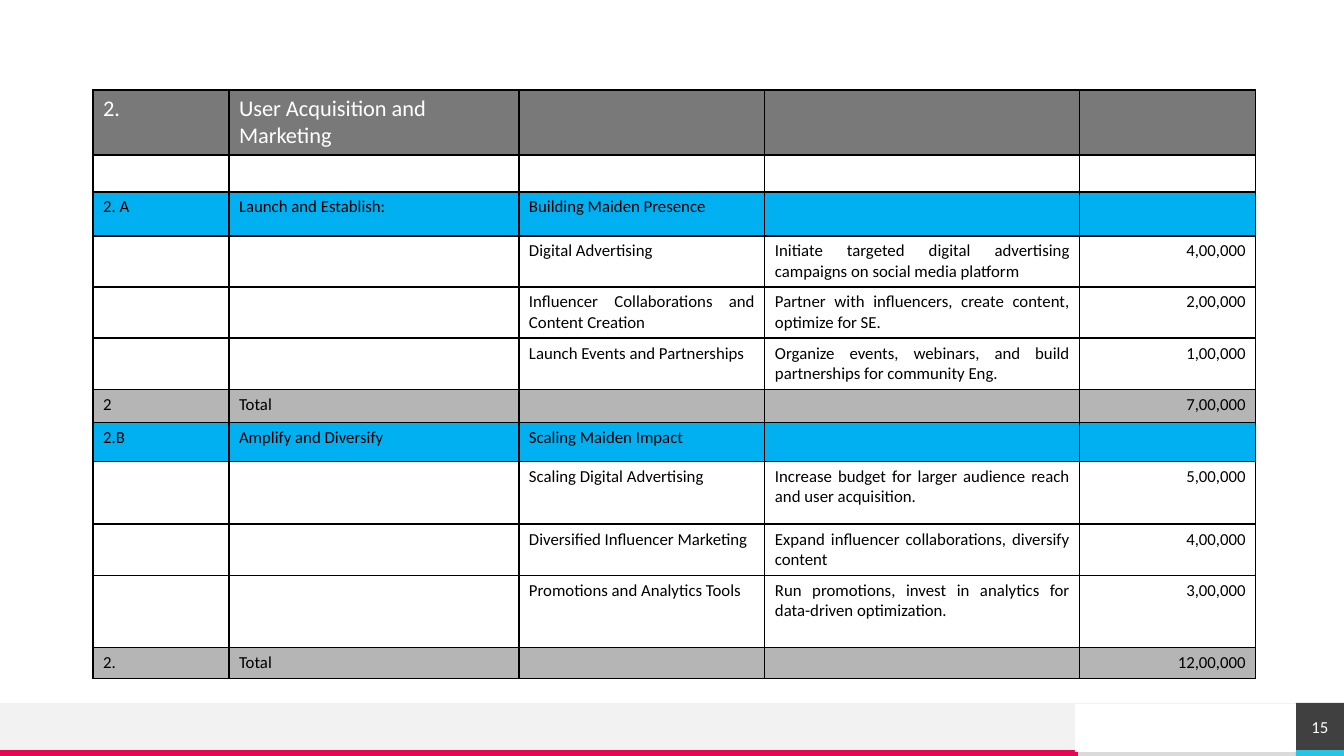
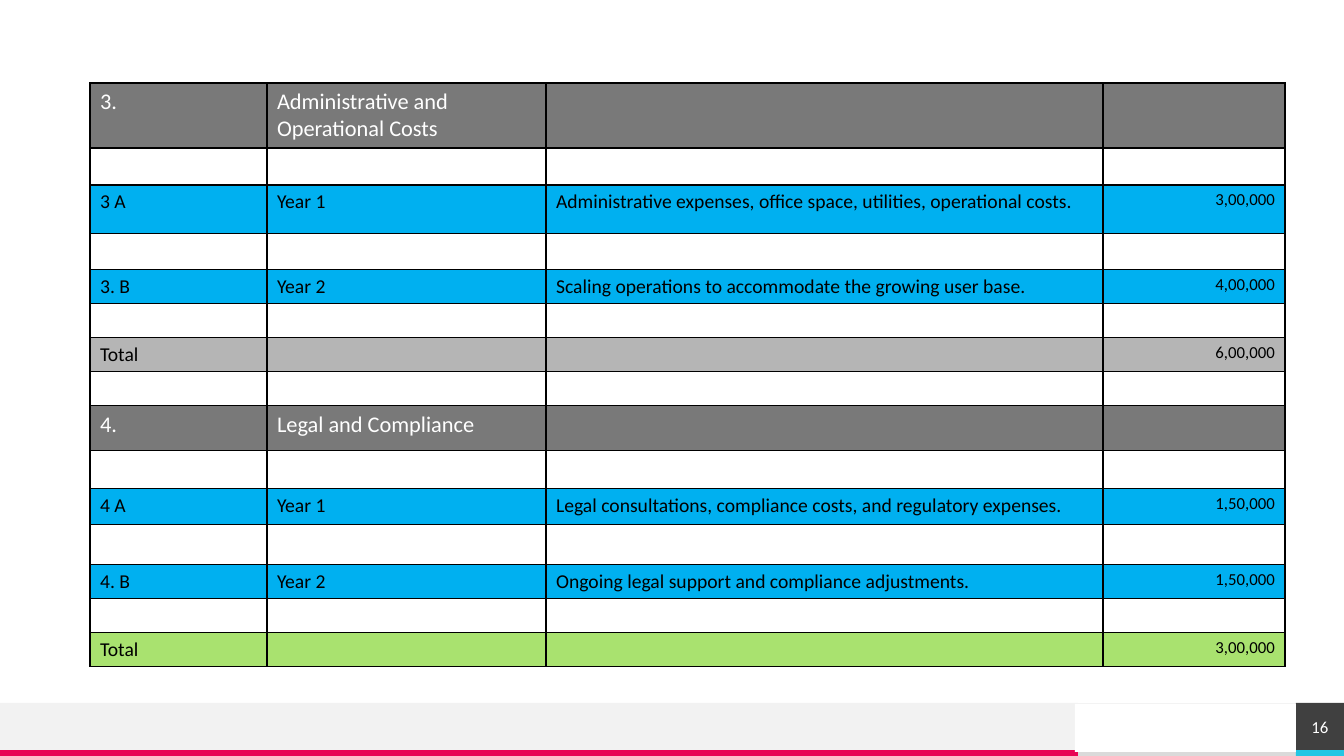
"""Build two budget table slides with a shared footer."""
from dataclasses import dataclass
from itertools import zip_longest

from lxml.etree import SubElement
from pptx import Presentation
from pptx.dml.color import RGBColor
from pptx.enum.shapes import MSO_CONNECTOR as Connector, MSO_SHAPE as Shape
from pptx.enum.text import MSO_ANCHOR as Anchor, PP_ALIGN as Align
from pptx.oxml.ns import qn
from pptx.util import Emu, Pt

PAGE_WIDTH, PAGE_HEIGHT = 1344, 756
SCALE = 12192000 / PAGE_WIDTH


@dataclass(frozen=True)
class Theme:
    font: str = "Calibri"
    white: str = "FFFFFF"
    black: str = "000000"
    band: str = "F2F2F2"
    strip: str = "DADADA"
    pink: str = "E80554"
    cyan: str = "25C6E3"
    dark: str = "404040"
    header: str = "797979"
    phase: str = "00B0F0"
    total: str = "B5B5B5"
    final: str = "A9E26F"
    header_size: int = 16
    large_size: int = 14
    small_size: int = 12


THEME = Theme()
ROW_FILLS = {
    "header": THEME.header,
    "phase": THEME.phase,
    "detail": THEME.white,
    "blank": THEME.white,
    "total": THEME.total,
    "final": THEME.final,
}

MARKETING_COLUMNS = (136, 290, 246, 315, 176)
MARKETING_ROWS = (
    ("header", 65, "2.", "User Acquisition and Marketing"),
    ("blank", 37),
    ("phase", 44, "2. A", "Launch and Establish:", "Building Maiden Presence"),
    ("detail", 51, "", "", "Digital Advertising",
     "Initiate targeted digital advertising campaigns on social media platform", "4,00,000"),
    ("detail", 51, "", "", "Influencer Collaborations and Content Creation",
     "Partner with influencers, create content, optimize for SE.", "2,00,000"),
    ("detail", 51, "", "", "Launch Events and Partnerships",
     "Organize events, webinars, and build partnerships for community Eng.", "1,00,000"),
    ("total", 33, "2", "Total", "", "", "7,00,000"),
    ("phase", 39, "2.B", "Amplify and Diversify", "Scaling Maiden Impact"),
    ("detail", 63, "", "", "Scaling Digital Advertising",
     "Increase budget for larger audience reach and user acquisition.", "5,00,000"),
    ("detail", 51, "", "", "Diversified Influencer Marketing",
     "Expand influencer collaborations, diversify content", "4,00,000"),
    ("detail", 72, "", "", "Promotions and Analytics Tools",
     "Run promotions, invest in analytics for data-driven optimization.", "3,00,000"),
    ("total", 31, "2.", "Total", "", "", "12,00,000"),
)

COSTS_COLUMNS = (177, 279, 557, 182)
COSTS_ROWS = (
    ("header", 65, "3.", "Administrative and Operational Costs"),
    ("blank", 37),
    ("phase", 49, "3 A", "Year 1",
     "Administrative expenses, office space, utilities, operational costs.", "3,00,000"),
    ("blank", 36),
    ("phase", 34, "3. B", "Year 2",
     "Scaling operations to accommodate the growing user base.", "4,00,000"),
    ("blank", 34),
    ("total", 34, "Total", "", "", "6,00,000"),
    ("blank", 34),
    ("header", 45, "4.", "Legal and Compliance"),
    ("blank", 38),
    ("phase", 36, "4 A", "Year 1",
     "Legal consultations, compliance costs, and regulatory expenses.", "1,50,000"),
    ("blank", 40),
    ("phase", 34, "4. B", "Year 2",
     "Ongoing legal support and compliance adjustments.", "1,50,000"),
    ("blank", 34),
    ("final", 34, "Total", "", "", "3,00,000"),
)


def px(length):
    """Convert pixels to EMU."""
    return Emu(round(length * SCALE))


def color(code):
    """Turn a hex code into a colour."""
    return RGBColor.from_string(code)


def format_font(font, size, code):
    """Set the size, colour and typeface of a font."""
    font.size = Pt(size)
    font.color.rgb = color(code)
    font.name = THEME.font


def add_rect(page, left, top, width, height, fill):
    """Add a plain filled rectangle."""
    box = page.shapes.add_shape(Shape.RECTANGLE, px(left), px(top), px(width), px(height))
    box.shadow.inherit = False
    box.fill.solid()
    box.fill.fore_color.rgb = color(fill)
    box.line.fill.background()
    return box


def add_page_number(page, number):
    """Add the dark box with the page number."""
    box = add_rect(page, 1296, 703, 48, 47, THEME.dark)
    frame = box.text_frame
    frame.vertical_anchor = Anchor.MIDDLE
    frame.margin_left = frame.margin_right = 0
    frame.margin_top = frame.margin_bottom = 0
    frame.text = str(number)
    para = frame.paragraphs[0]
    para.alignment = Align.CENTER
    format_font(para.runs[0].font, THEME.small_size, THEME.white)


def add_footer(page, number):
    """Add the footer bands, rule, white panel and page number."""
    add_rect(page, 1078, 750, 218, 6, THEME.strip)
    add_rect(page, 0, 703, 1078, 47, THEME.band)
    add_rect(page, 0, 750, 1078, 6, THEME.pink)
    add_rect(page, 1296, 750, 48, 6, THEME.cyan)
    rule = page.shapes.add_connector(
        Connector.STRAIGHT, px(PAGE_WIDTH), px(703), px(0), px(703))
    rule.line.color.rgb = color(THEME.band)
    rule.line.width = Pt(0.5)
    SubElement(rule._element.spPr, qn("a:effectLst"))
    add_page_number(page, number)
    add_rect(page, 1075, 704, 221, 48, THEME.white)


def style_cell(cell, fill):
    """Give a cell black borders and a solid fill."""
    properties = cell._tc.get_or_add_tcPr()
    for side in ("a:lnL", "a:lnR", "a:lnT", "a:lnB"):
        border = SubElement(properties, qn(side), w=str(Pt(1)))
        solid = SubElement(border, qn("a:solidFill"))
        SubElement(solid, qn("a:srgbClr"), val=THEME.black)
    cell.fill.solid()
    cell.fill.fore_color.rgb = color(fill)


def write_cell(cell, text, align, size, code):
    """Write the text of a cell, or size its empty paragraph."""
    cell.text_frame.text = text
    para = cell.text_frame.paragraphs[0]
    para.alignment = align
    for span in para.runs:
        format_font(span.font, size, code)
    if not text:
        SubElement(para._p, qn("a:endParaRPr"), sz=str(THEME.small_size * 100))


def add_budget_table(page, left, top, columns, rows, body_size):
    """Add a budget table whose last column holds amounts."""
    heights = [row[1] for row in rows]
    table = page.shapes.add_table(
        len(rows), len(columns), px(left), px(top), px(sum(columns)), px(sum(heights))).table
    table.first_row = table.horz_banding = False
    for column, width in zip(table.columns, columns):
        column.width = px(width)
    for table_row, (kind, height, *texts) in zip(table.rows, rows):
        table_row.height = px(height)
        text_color = THEME.white if kind == "header" else THEME.black
        for index, (cell, text) in enumerate(zip_longest(table_row.cells, texts, fillvalue="")):
            size = THEME.header_size if kind == "header" else body_size
            align = Align.JUSTIFY if kind == "detail" else Align.LEFT
            if index == len(columns) - 1:
                size, align = THEME.small_size, Align.RIGHT
            style_cell(cell, ROW_FILLS[kind])
            write_cell(cell, text, align, size, text_color)


def main():
    """Build and save the deck."""
    deck = Presentation()
    deck.slide_width, deck.slide_height = px(PAGE_WIDTH), px(PAGE_HEIGHT)
    tables = (
        (93, 90, MARKETING_COLUMNS, MARKETING_ROWS, THEME.small_size),
        (90, 83, COSTS_COLUMNS, COSTS_ROWS, THEME.large_size),
    )
    for number, content in enumerate(tables, start=15):
        page = deck.slides.add_slide(deck.slide_layouts[6])
        add_footer(page, number)
        add_budget_table(page, *content)
    deck.save("out.pptx")


if __name__ == "__main__":
    main()
